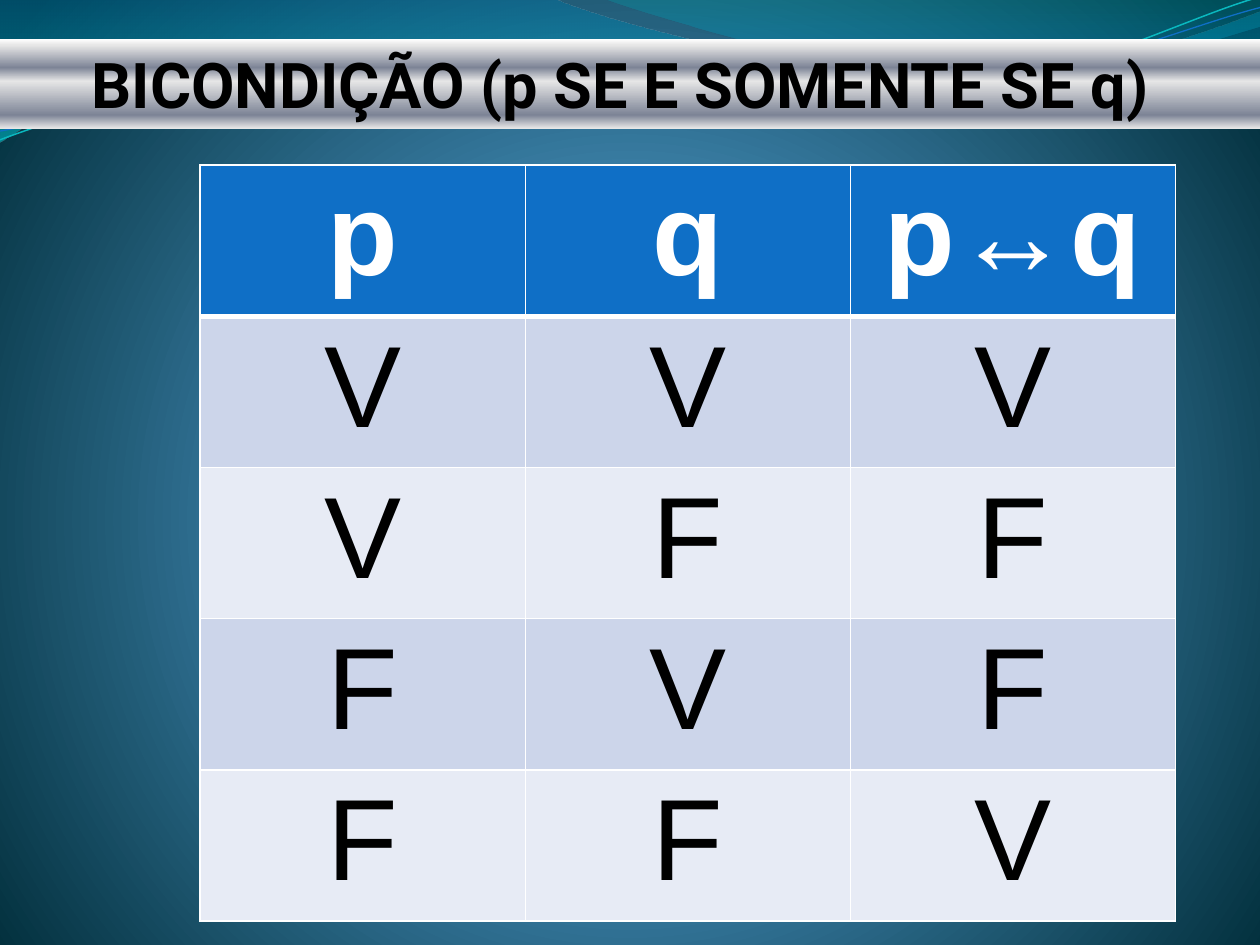
from pptx import Presentation
from pptx.dml.color import RGBColor
from pptx.enum.text import MSO_ANCHOR, MSO_AUTO_SIZE, PP_ALIGN
from pptx.oxml import parse_xml
from pptx.oxml.ns import nsdecls, qn
from pptx.util import Pt

CENTER = PP_ALIGN.CENTER
MIDDLE = MSO_ANCHOR.MIDDLE
FIXED = MSO_AUTO_SIZE.NONE
COLORS = {
    "black": "000000", "white": "FFFFFF", "blue": "0F6FC6", "aqua": "0AB8BF",
    "sky": "4AA0D6", "mist": "4C98C7", "deep": "002C38",
    "sea": "0074A1", "cyan": "00C6CF", "teal": "00A1A9", "lake": "008BBF",
    "silver": "E6E6E6", "steel": "7D8496", "band": "CCD5EA", "pale": "E7EBF5",
}
DOWN = '<a:lin ang="5400000" scaled="0"/>'
ROUND = '<a:path path="circle"><a:fillToRect l="10000" t="110000" r="10000" b="100000"/></a:path>'


def write(frame, text, size=66, font="Arial", color="black", bold=False):
    par = frame.paragraphs[0]
    par.alignment = CENTER
    run = par.add_run()
    run.text = text
    run.font.size = Pt(size)
    run.font.name = font
    run.font.bold = bold
    run.font.color.rgb = RGBColor.from_string(COLORS[color])


def blend(fill, owner, stops, shade=DOWN):
    fill.gradient()
    marks = ""
    for pos, name, *alpha in stops:
        clear = f'<a:alpha val="{alpha[0] * 1000}"/>' if alpha else ""
        marks += (f'<a:gs pos="{pos * 1000}"><a:srgbClr val="{COLORS[name]}">'
                  f'{clear}</a:srgbClr></a:gs>')
    old = owner.element.find(".//" + qn("a:gradFill"))
    old.getparent().replace(old, parse_xml(
        f'<a:gradFill {nsdecls("a")} rotWithShape="1"><a:gsLst>{marks}</a:gsLst>{shade}</a:gradFill>'))


deck = Presentation()
deck.slide_width, deck.slide_height = Pt(720), Pt(540)
slide = deck.slides.add_slide(deck.slide_layouts[5])
blend(slide.background.fill, slide,
      [(0, "sky"), (25, "mist"), (100, "deep")], ROUND)

waves = [
    ([(0, 0), (316.8, -0.7), (342.7, 12.2, 478.1, 45.4, 545.8, 45.4),
      (614.2, 45.4, 689.8, 18.7, 720, 6.5), (720.7, 25.9),
      (707.8, 31.7, 626.4, 54.7, 537.1, 54), (447.8, 54, 275, 20.2, 185, 24.5),
      (92.9, 25.9, 33.1, 59.8, -0.7, 81.4)],
     [(0, "sea", 45), (100, "cyan", 55)], None, 0),
    ([(344.9, -0.7), (366.5, 7.9, 491, 44.6, 553.7, 46.8),
      (616.3, 49.7, 691.9, 23, 720, 15.1), (720, 0)],
     [(0, "teal", 30), (80, "lake", 45)], None, 0),
    ([(0, 79.9), (34.6, 67, 113.8, 41, 199.4, 37.4),
      (284.4, 33.8, 429.8, 64.1, 513.4, 57.6), (599.8, 51.1, 675.4, 10.8, 718.6, -1.4)],
     None, "aqua", 0.85),
    ([(0, 74.9), (33.8, 69.1, 118.1, 43.9, 203.8, 40.3),
      (290.2, 36.7, 429.8, 60.5, 516.2, 54), (601.9, 48.2, 677.5, 15.1, 720, 4.3)],
     None, "blue", 0.75),
]
for steps, stops, line, width in waves:
    x, y = steps[0]
    pen = slide.shapes.build_freeform(Pt(x), Pt(y))
    pen.add_line_segments([(Pt(s[-2]), Pt(s[-1])) for s in steps[1:]], close=bool(stops))
    wave = pen.convert_to_shape()
    wave.shadow.inherit = False
    for node, step in zip(list(wave.element.iter(qn("a:lnTo"))), steps[1:]):
        if len(step) == 6:
            dots = "".join(
                f'<a:pt x="{Pt(h) - wave.left}" y="{Pt(v) - wave.top}"/>'
                for h, v in zip(step[::2], step[1::2]))
            node.getparent().replace(node, parse_xml(
                f'<a:cubicBezTo {nsdecls("a")}>{dots}</a:cubicBezTo>'))
    if stops:
        blend(wave.fill, wave, stops)
        wave.line.fill.background()
    else:
        wave.fill.background()
        wave.line.color.rgb = RGBColor.from_string(COLORS[line])
        wave.line.width = Pt(width)

title = slide.shapes.title
title.element.getparent().append(title.element)
title.left, title.top, title.width, title.height = Pt(-39.3), Pt(22.3), Pt(787.7), Pt(51.1)
blend(title.fill, title, [
    (0, "white"), (7, "silver"), (32, "steel"),
    (47, "silver"), (85, "steel"), (100, "silver")])
frame = title.text_frame
frame.word_wrap = True
frame.auto_size = FIXED
frame.vertical_anchor = MIDDLE
write(frame, "BICONDIÇÃO (p SE E SOMENTE SE q)", size=36, font="Roboto", bold=True)

rows = [("p", "q", "p↔q"), "VVV", "VFF", "FVF", "FFV"]
table = slide.shapes.add_table(5, 3, Pt(114.4), Pt(94.3), Pt(557.4), Pt(432)).table
for r, row in enumerate(rows):
    head = r == 0
    for c, text in enumerate(row):
        cell = table.cell(r, c)
        props = cell._tc.get_or_add_tcPr()
        for side in "LRB" if r == 1 else "LRTB":
            thick = 3 if head and side == "B" else 1
            props.append(parse_xml(
                f'<a:ln{side} {nsdecls("a")} w="{Pt(thick)}"><a:solidFill>'
                f'<a:srgbClr val="{COLORS["white"]}"/></a:solidFill></a:ln{side}>'))
        cell.fill.solid()
        shade = "blue" if head else ("pale", "band")[r % 2]
        cell.fill.fore_color.rgb = RGBColor.from_string(COLORS[shade])
        write(cell.text_frame, text, color="white" if head else "black", bold=head)

deck.save("out.pptx")
